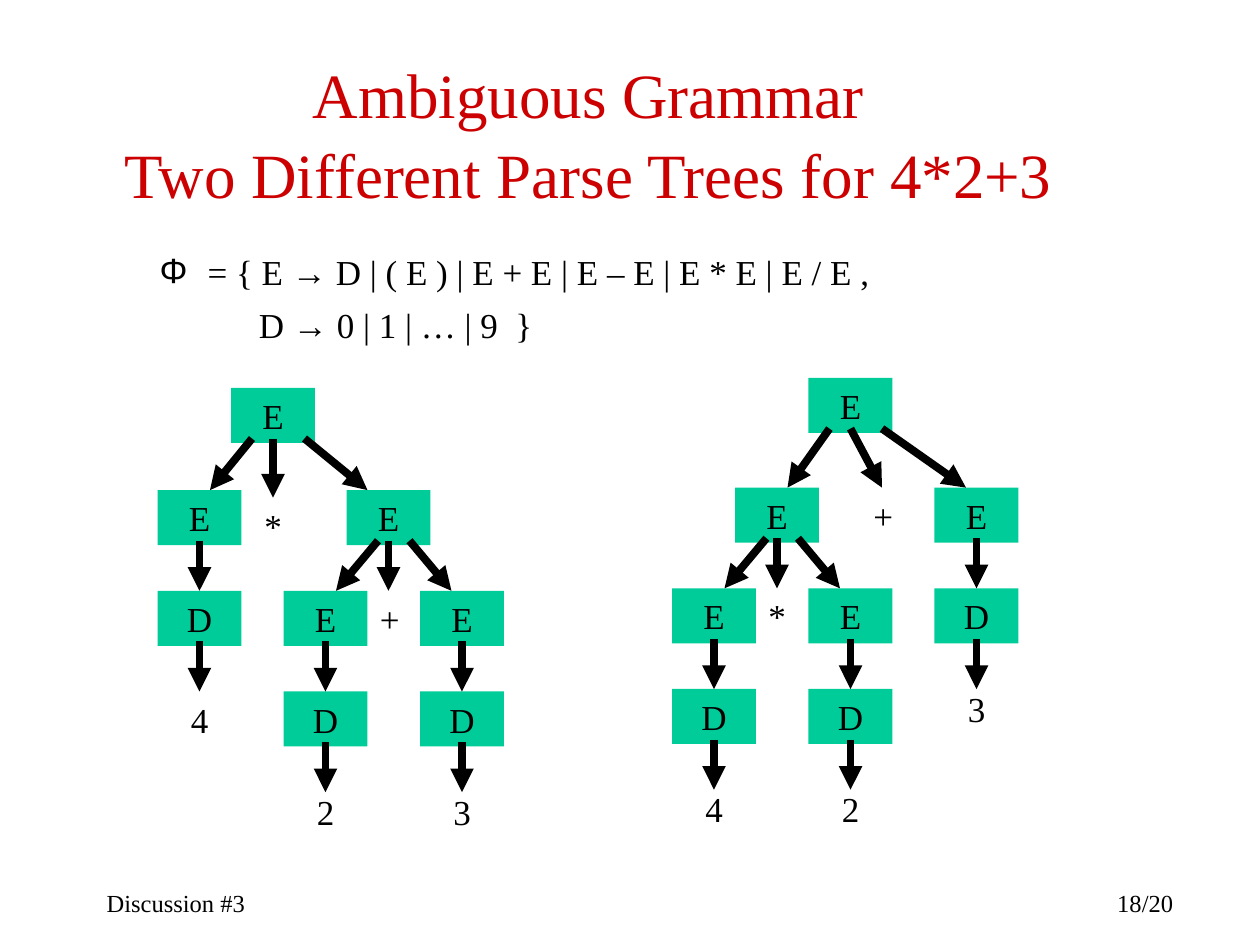
"""Build a slide showing two parse trees for one expression of an ambiguous grammar."""
from dataclasses import dataclass

from lxml import etree
from pptx import Presentation
from pptx import util as u
from pptx.dml.color import RGBColor
from pptx.enum import shapes, text
from pptx.oxml import ns


@dataclass(frozen=True)
class Theme:
    ink: RGBColor = RGBColor.from_string("000000")
    heading: RGBColor = RGBColor.from_string("CC0000")
    node: RGBColor = RGBColor.from_string("00CC99")
    serif: str = "Times New Roman"
    sans: str = "Arial"
    title_size: int = 36
    body_size: int = 20
    footer_size: int = 14
    arrow_width: float = 4.5


theme = Theme()
LEFT, CENTER, RIGHT = text.PP_ALIGN.LEFT, text.PP_ALIGN.CENTER, text.PP_ALIGN.RIGHT


def style(span, size, color=theme.ink, face=theme.serif):
    span.font.size = u.Pt(size)
    span.font.color.rgb = color
    span.font.name = face


def write(box, words, size, align=LEFT, color=theme.ink):
    frame = box.text_frame
    frame.word_wrap = True
    frame.vertical_anchor = text.MSO_ANCHOR.MIDDLE
    frame.text = words
    for para in frame.paragraphs:
        para.alignment = align
        for span in para.runs:
            style(span, size, color)


deck = Presentation()
deck.slide_width, deck.slide_height = u.Cm(25.4), u.Cm(19.05)
page = deck.slides.add_slide(deck.slide_layouts[6])

for words, left, align in (("Discussion #3", 1.9, LEFT), ("18/20", 18.62, RIGHT)):
    footer = page.shapes.add_textbox(u.Cm(left), u.Cm(17.78), u.Cm(5.28), u.Cm(0.85))
    write(footer, words, theme.footer_size, align)

title = page.shapes.add_textbox(u.Cm(1.06), u.Cm(1.06), u.Cm(21.6), u.Cm(3.18))
write(title, "Ambiguous Grammar\nTwo Different Parse Trees for 4*2+3",
      theme.title_size, CENTER, theme.heading)
for para in title.text_frame.paragraphs:
    para.line_spacing = 1.05

grammar = page.shapes.add_textbox(u.Cm(1.7), u.Cm(4.88), u.Cm(21.6), u.Cm(11.43))
grammar.text_frame.word_wrap = True
rules = (
    (" = { E → D | ( E ) | E + E | E – E | E * E | E / E ,", 2.06, -0.79, "Φ"),
    ("D → 0 | 1 | … | 9  }", 3.27, 0, None),
)
for number, (rule, margin, indent, bullet) in enumerate(rules):
    para = grammar.text_frame.paragraphs[0] if number == 0 else grammar.text_frame.add_paragraph()
    para.space_before = u.Pt(5)
    para.line_spacing = 1.05
    for piece in rule.partition("→"):
        span = para.add_run()
        span.text = piece
        style(span, theme.body_size, face=theme.sans if piece == "→" else theme.serif)
    properties = para._p.get_or_add_pPr()
    properties.set("marL", str(u.Cm(margin)))
    properties.set("indent", str(u.Cm(indent)))
    if bullet:
        etree.SubElement(properties, ns.qn("a:buFont")).set("typeface", theme.sans)
        etree.SubElement(properties, ns.qn("a:buChar")).set("char", bullet)

COLUMN = 2.54 / 12
NODE_COLUMNS, SYMBOL_COLUMNS = 8, 5
HEIGHT, ARROW_START, LEVEL = 1.11, 1.02, 2.03

# nodes: label, column, row; symbols: label, column, row, shift; arrows: columns, row, shift
trees = (
    {
        "root": 7.82, "second": 9.88,
        "nodes": (("E", 22, 0), ("E", 15, 1), ("E", 33, 1), ("D", 15, 2), ("E", 27, 2),
                  ("E", 40, 2), ("D", 27, 3), ("D", 40, 3)),
        "symbols": (("*", 24, 1, 0.15), ("+", 35, 2, 0), ("4", 17, 3, 0),
                    ("2", 29, 4, -0.17), ("3", 42, 4, -0.17)),
        "arrows": ((24, 20, 0, 0), (26, 26, 0, 0.15), (29, 35, 0, 0), (19, 19, 1, 0),
                   (36, 32, 1, 0), (37, 37, 1, 0), (39, 43, 1, 0), (19, 19, 2, 0),
                   (31, 31, 2, 0), (44, 44, 2, 0), (31, 31, 3, 0), (44, 44, 3, 0)),
    },
    {
        "root": 7.62, "second": 9.83,
        "nodes": (("E", 77, 0), ("E", 70, 1), ("E", 89, 1), ("E", 64, 2), ("E", 77, 2),
                  ("D", 89, 2), ("D", 64, 3), ("D", 77, 3)),
        "symbols": (("+", 82, 1, 0), ("*", 72, 2, 0), ("3", 91, 3, -0.17),
                    ("4", 66, 4, -0.17), ("2", 79, 4, -0.17)),
        "arrows": ((79, 75, 0, 0), (81, 84, 0, 0), (84, 92, 0, 0), (73, 69, 1, 0),
                   (74, 74, 1, 0), (76, 80, 1, 0), (93, 93, 1, 0), (68, 68, 2, 0),
                   (81, 81, 2, 0), (93, 93, 2, 0), (68, 68, 3, 0), (81, 81, 3, 0)),
    },
)
for tree in trees:
    group = page.shapes.add_group_shape()
    rows = [tree["root"]] + [tree["second"] + LEVEL * step for step in range(4)]
    for label, column, row in tree["nodes"]:
        node = group.shapes.add_shape(
            shapes.MSO_SHAPE.RECTANGLE, u.Cm(column * COLUMN), u.Cm(rows[row]),
            u.Cm(NODE_COLUMNS * COLUMN), u.Cm(HEIGHT))
        node.shadow.inherit = False
        node.fill.solid()
        node.fill.fore_color.rgb = theme.node
        node.line.fill.background()
        write(node, label, theme.body_size, CENTER)
    for label, column, row, shift in tree["symbols"]:
        symbol = group.shapes.add_textbox(
            u.Cm(column * COLUMN), u.Cm(rows[row] + shift),
            u.Cm(SYMBOL_COLUMNS * COLUMN), u.Cm(HEIGHT))
        write(symbol, label, theme.body_size)
    for start, end, row, shift in tree["arrows"]:
        arrow = group.shapes.add_connector(
            shapes.MSO_CONNECTOR.STRAIGHT,
            u.Cm(start * COLUMN), u.Cm(rows[row] + ARROW_START),
            u.Cm(end * COLUMN), u.Cm(rows[row + 1] + shift))
        arrow.line.color.rgb = theme.ink
        arrow.line.width = u.Pt(theme.arrow_width)
        etree.SubElement(arrow.line._get_or_add_ln(), ns.qn("a:tailEnd")).set("type", "triangle")
        etree.SubElement(arrow._element.spPr, ns.qn("a:effectLst"))

deck.save("out.pptx")
